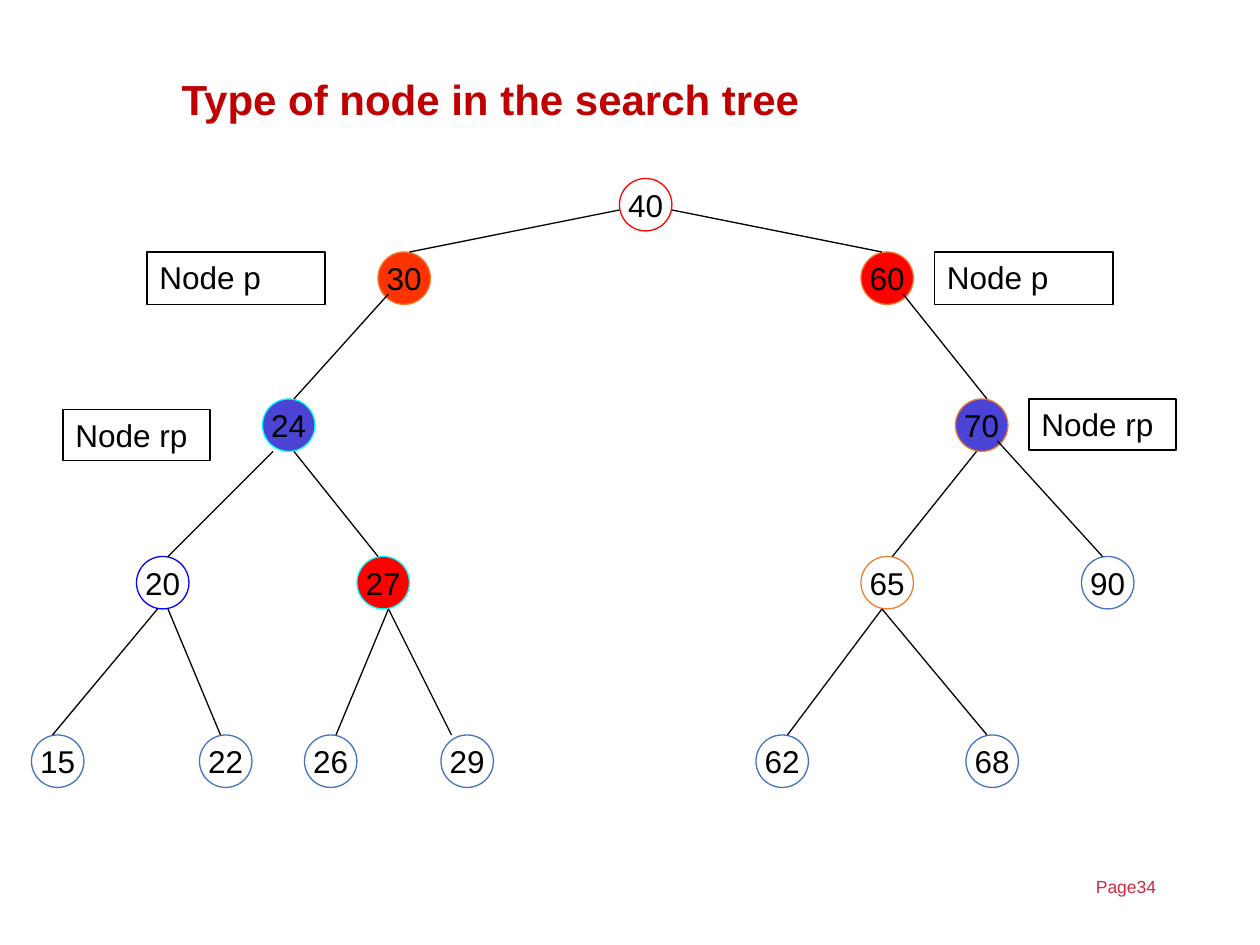
from lxml import etree
from pptx import Presentation
from pptx.dml.color import RGBColor
from pptx.enum.shapes import MSO_CONNECTOR, MSO_SHAPE
from pptx.enum.text import MSO_ANCHOR, PP_ALIGN
from pptx.oxml.ns import qn
from pptx.util import Inches, Pt

OVAL, RECTANGLE = MSO_SHAPE.OVAL, MSO_SHAPE.RECTANGLE
STRAIGHT = MSO_CONNECTOR.STRAIGHT
TOP, MIDDLE = MSO_ANCHOR.TOP, MSO_ANCHOR.MIDDLE
LEFT, CENTER = PP_ALIGN.LEFT, PP_ALIGN.CENTER

BLACK = RGBColor(0x00, 0x00, 0x00)
RED = RGBColor(0xFF, 0x00, 0x00)
VERMILION = RGBColor(0xFF, 0x33, 0x00)
VIOLET = RGBColor(0x4A, 0x43, 0xD3)
ORANGE = RGBColor(0xED, 0x7D, 0x31)
CYAN = RGBColor(0x00, 0xFF, 0xFF)
BLUE = RGBColor(0x00, 0x00, 0xFF)
STEEL = RGBColor(0x44, 0x72, 0xC4)
DARK_RED = RGBColor(0xC0, 0x00, 0x00)
CRIMSON = RGBColor(0xCF, 0x29, 0x41)

prs = Presentation()
prs.slide_width, prs.slide_height = Inches(10), Inches(7.5)
CELL = prs.slide_width / 120
NODE_SIZE = 5
slide = prs.slides.add_slide(prs.slide_layouts[5])


def cells(*counts):
    return [round(count * CELL) for count in counts]


def write(shape, text, size, color, bold=False, align=LEFT, anchor=TOP, wrap=True):
    frame = shape.text_frame
    frame.text = text
    frame.word_wrap = wrap
    frame.vertical_anchor = anchor
    paragraph = frame.paragraphs[0]
    paragraph.alignment = align
    font_format = {"name": "Arial", "size": Pt(size), "bold": bold}
    for attribute, value in font_format.items():
        setattr(paragraph.font, attribute, value)
    paragraph.font.color.rgb = color
    return paragraph


title = slide.shapes.title
title_place = dict(zip(("left", "top", "width", "height"), cells(16.1, 4.8, 95.8, 9.8)))
for attribute, value in title_place.items():
    setattr(title, attribute, value)
heading = write(title, "Type of node in the search tree", 24, DARK_RED, bold=True, anchor=MIDDLE)
heading.line_spacing = 0.9

page_number = slide.shapes.add_textbox(*cells(103.2, 82.8, 14.4, 3.4))
write(page_number, "Page34", 10, CRIMSON)

levels = {
    17: [("40", 59, None, RED)],
    24: [("30", 36, VERMILION, ORANGE), ("60", 82, RED, ORANGE)],
    38: [("24", 25, VIOLET, CYAN), ("70", 91, VIOLET, ORANGE)],
    53: [("20", 13, None, BLUE), ("27", 34, RED, CYAN),
         ("65", 82, None, ORANGE), ("90", 103, None, STEEL)],
    70: [(key, column, None, STEEL) for key, column in
         (("15", 3), ("22", 19), ("26", 29), ("29", 42), ("62", 72), ("68", 92))],
}
for row, nodes in levels.items():
    for key, column, fill, outline in nodes:
        node = slide.shapes.add_shape(OVAL, *cells(column, row, NODE_SIZE, NODE_SIZE))
        node.shadow.inherit = False
        if fill is None:
            node.fill.background()
        else:
            node.fill.solid()
            node.fill.fore_color.rgb = fill
        node.line.color.rgb = outline
        node.line.width = Pt(0.75)
        write(node, key, 18, BLACK, align=CENTER, anchor=MIDDLE, wrap=False)

branches = [
    (59, 20, 39, 24), (64, 20, 84, 24),
    (37, 28, 28, 38), (86, 28, 94, 38),
    (26, 43, 16, 53), (28, 43, 36, 53), (93, 43, 85, 53), (95, 42, 105, 53),
    (15, 58, 5, 70), (16, 58, 21, 70), (37, 58, 32, 70), (37, 58, 43, 70),
    (84, 58, 75, 70), (84, 58, 94, 70),
]
for ends in branches:
    branch = slide.shapes.add_connector(STRAIGHT, *cells(*ends))
    branch.line.color.rgb = BLACK
    branch.line.width = Pt(0.75)
    etree.SubElement(branch._element.spPr, qn("a:effectLst"))

labels = [
    ("Node p", 14, 24, 17, 5), ("Node p", 89, 24, 17, 5),
    ("Node rp", 6, 39, 14, 4.85), ("Node rp", 98, 38, 14, 4.85),
]
for text, *place in labels:
    label = slide.shapes.add_shape(RECTANGLE, *cells(*place))
    label.shadow.inherit = False
    label.fill.background()
    label.line.color.rgb = BLACK
    label.line.width = Pt(1)
    write(label, text, 18, BLACK)

prs.save("out.pptx")
